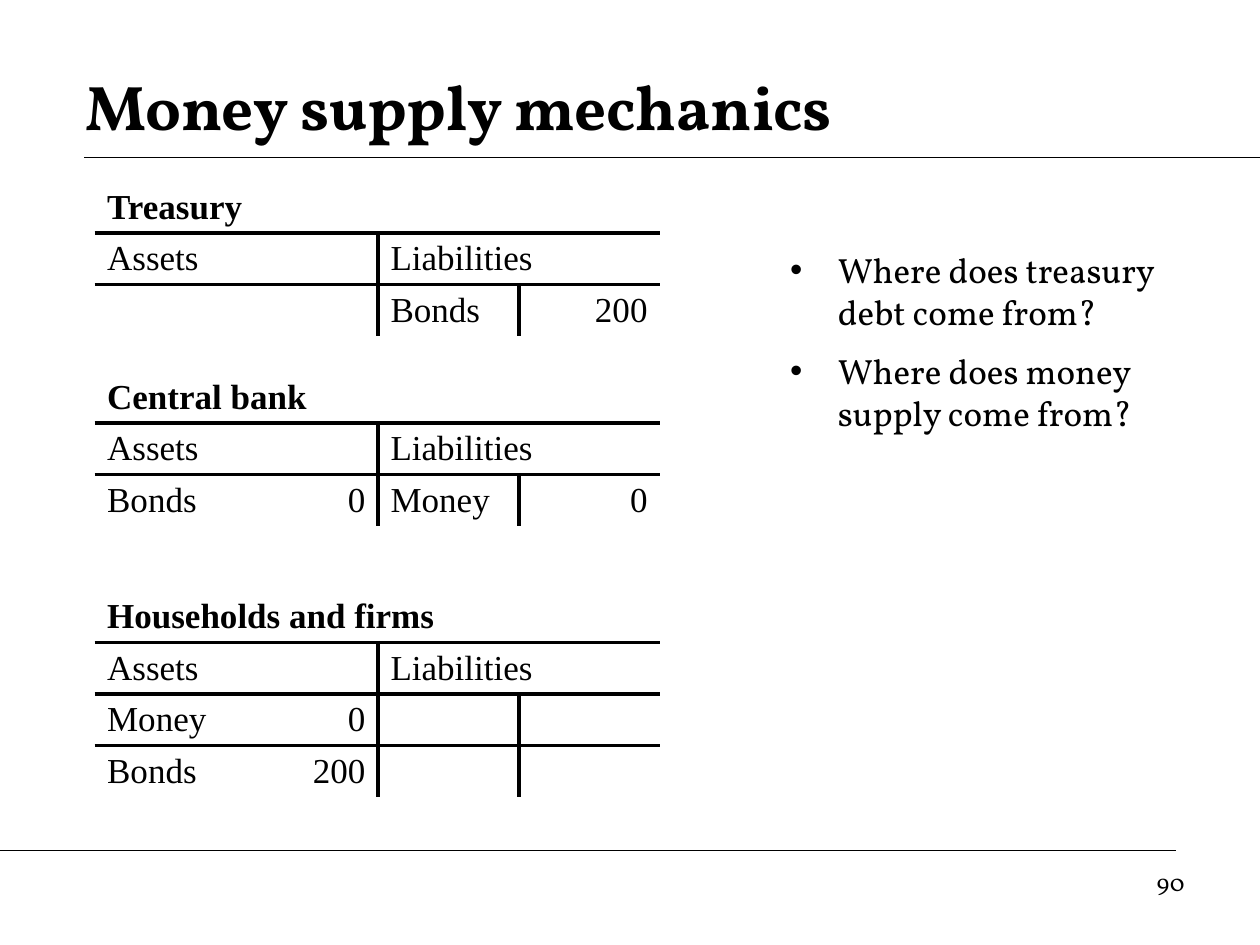
from dataclasses import dataclass
from lxml.etree import SubElement
from pptx import Presentation
from pptx.dml.color import RGBColor as Rgb
from pptx.enum.shapes import MSO_CONNECTOR as Link
from pptx.enum.text import MSO_ANCHOR as Anchor, MSO_AUTO_SIZE as Fit, PP_ALIGN as Align
from pptx.oxml import parse_xml
from pptx.oxml.ns import nsdecls, qn
from pptx.util import Inches, Pt

INK = "000000"
SERIF = "Vollkorn"
ROMAN = "Times New Roman"
PLAIN = "{2D5ABB26-0587-4C30-8999-92F81FD0307C}"
WIDTHS = (1.48, 0.77, 1.12, 1.12)
ROW = 0.4


@dataclass
class Sheet:
    name: str
    top: float
    rows: list[tuple[str, str, str, str]]


@dataclass
class Rule:
    left: float
    right: float
    top: float


SHEETS = [
    Sheet("Treasury", 1.44, [("", "", "Bonds", "200")]),
    Sheet("Central bank", 2.95, [("Bonds", "0", "Money", "0")]),
    Sheet("Households and firms", 4.69,
          [("Money", "0", "", ""), ("Bonds", "200", "", "")]),
]
RULES = [Rule(0.67, 10, 1.25), Rule(0, 9.33, 6.75),
         Rule(1.25, 10, 1.25), Rule(0, 7.08, 6.75)]
POINTS = ["Where does treasury debt come from?",
          "Where does money supply come from?"]


def color(code: str) -> Rgb:
    return Rgb.from_string(code)


def style(para, face: str, size: float, bold: bool = False, align=Align.LEFT) -> None:
    para.alignment = align
    font = para.font
    font.name, font.size, font.bold = face, Pt(size), bold
    font.color.rgb = color(INK)


def place(shape, left: float, top: float, width: float, height: float) -> None:
    shape.left, shape.top = Inches(left), Inches(top)
    shape.width, shape.height = Inches(width), Inches(height)


def draw_rule(slide, rule: Rule) -> None:
    line = slide.shapes.add_connector(
        Link.STRAIGHT, Inches(rule.left), Inches(rule.top),
        Inches(rule.right), Inches(rule.top))
    line.line.color.rgb = color(INK)
    line.line.width = Pt(0.75)
    SubElement(line._element.spPr, qn("a:effectLst"))


def edge(cell, sides: str) -> None:
    props = cell._tc.get_or_add_tcPr()
    for spot, side in enumerate(s for s in "LRTB" if s in sides):
        props.insert(spot, parse_xml(
            f'<a:ln{side} {nsdecls("a")} w="{Pt(2.25)}"><a:solidFill>'
            f'<a:srgbClr val="{INK}"/></a:solidFill></a:ln{side}>'))


def draw_sheet(slide, sheet: Sheet) -> None:
    cells = [(sheet.name, "", "", ""), ("Assets", "", "Liabilities", ""), *sheet.rows]
    frame = slide.shapes.add_table(
        len(cells), len(WIDTHS), Inches(0.75), Inches(sheet.top),
        Inches(sum(WIDTHS)), Inches(ROW * len(cells)))
    table = frame.table
    table.first_row = table.horz_banding = False
    table._tbl.tblPr.find(qn("a:tableStyleId")).text = PLAIN
    for col, width in zip(table.columns, WIDTHS):
        col.width = Inches(width)
    for r, texts in enumerate(cells):
        table.rows[r].height = Inches(ROW)
        for c, text in enumerate(texts):
            cell = table.cell(r, c)
            cell.text = text
            cell.vertical_anchor = Anchor.MIDDLE
            cell.fill.background()
            style(cell.text_frame.paragraphs[0], ROMAN, 20, r == 0,
                  Align.RIGHT if c % 2 else Align.LEFT)
            sides = {0: "B", 1: "TB", 2: "T"}.get(r, "")
            if r:
                sides += {1: "R", 2: "L"}.get(c, "")
            edge(cell, sides)
    table.cell(0, 0).merge(table.cell(0, 3))
    for c in (0, 2):
        table.cell(1, c).merge(table.cell(1, c + 1))


def draw_list(body, points: list[str]) -> None:
    place(body, 6.17, 1.92, 3.42, 4.58)
    frame = body.text_frame
    frame.auto_size = Fit.NONE
    for i, point in enumerate(points):
        para = frame.add_paragraph() if i else frame.paragraphs[0]
        para.text = point
        props = para._p.get_or_add_pPr()
        props.set("marL", str(Inches(0.38)))
        props.set("indent", str(Inches(-0.38)))
        SubElement(props, qn("a:buChar"), char="•")
        para.space_before = Pt(10 if i else 0)
        style(para, SERIF, 20)


def main() -> None:
    deck = Presentation()
    deck.slide_width, deck.slide_height = Inches(10), Inches(7.5)
    slide = deck.slides.add_slide(deck.slide_layouts[1])
    for rule in RULES:
        draw_rule(slide, rule)

    title = slide.shapes.title
    place(title, 0.58, 0.42, 8.67, 0.83)
    title.text_frame.text = "Money supply mechanics"
    title.text_frame.auto_size = Fit.NONE
    title.text_frame.vertical_anchor = Anchor.MIDDLE
    style(title.text_frame.paragraphs[0], SERIF, 36, True)

    for sheet in SHEETS:
        draw_sheet(slide, sheet)
    draw_list(slide.placeholders[1], POINTS)

    page = slide.shapes.add_textbox(Inches(7.17), Inches(6.83), Inches(2.33), Inches(0.52))
    page.text_frame.word_wrap = True
    page.text_frame.text = "90"
    style(page.text_frame.paragraphs[0], SERIF, 14, align=Align.RIGHT)
    deck.save("out.pptx")


if __name__ == "__main__":
    main()
